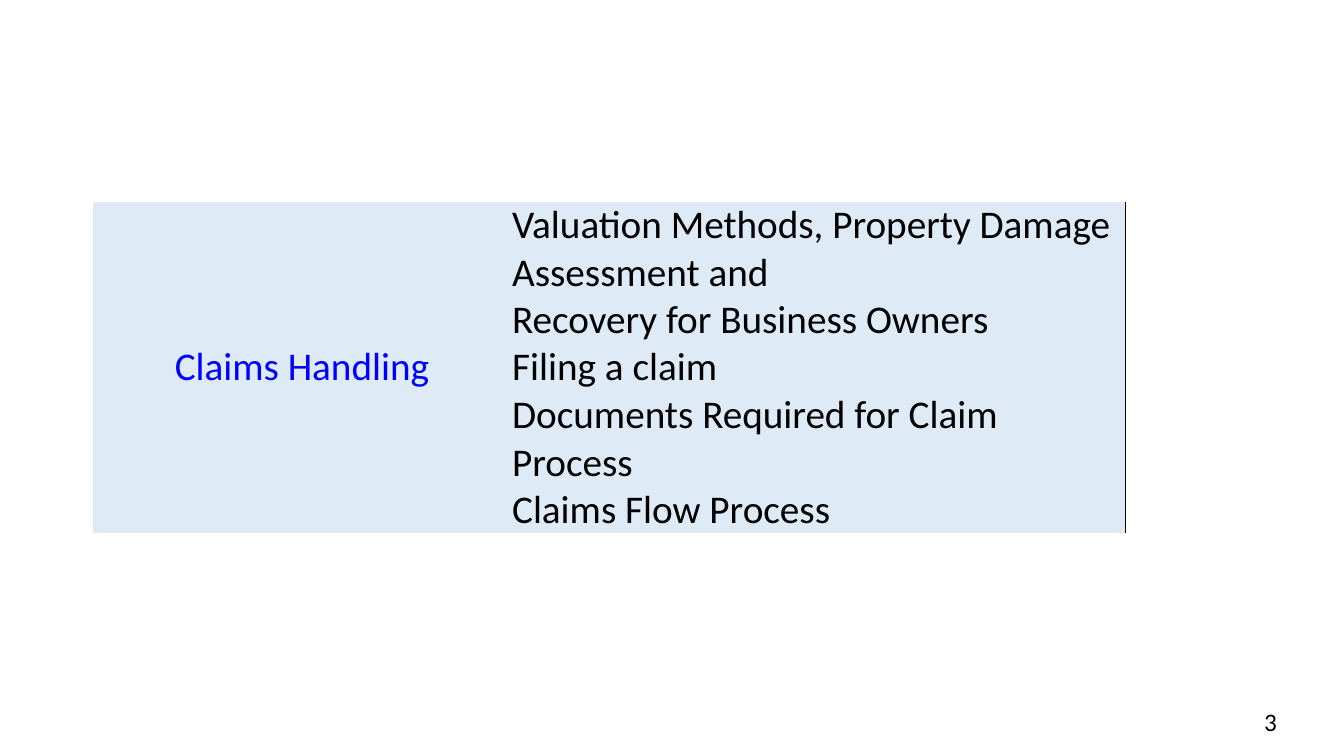
import pptx
import pptx.dml.color
import pptx.enum.text
import pptx.oxml
import pptx.oxml.ns
import pptx.util

Inches = pptx.util.Inches
Pt = pptx.util.Pt
RGBColor = pptx.dml.color.RGBColor
Align = pptx.enum.text.PP_ALIGN
Anchor = pptx.enum.text.MSO_ANCHOR

BLACK = RGBColor(0x00, 0x00, 0x00)
BLUE = RGBColor(0x00, 0x00, 0xFF)
PALE_BLUE = RGBColor(0xDE, 0xEB, 0xF7)
LINE_HEIGHT = 0.47

# Each topic with the number of lines it takes
TOPICS = [
    ("Valuation Methods, Property Damage Assessment and", 2),
    ("Recovery for Business Owners", 1),
    ("Filing a claim", 1),
    ("Documents Required for Claim Process", 2),
    ("Claims Flow Process", 1),
]


class SlideBuilder:
    font = "Calibri"

    def __init__(self, page):
        self.page = page

    def add_span(self, frame, text, size, color, align=Align.LEFT):
        para = frame.paragraphs[0]
        para.alignment = align
        span = para.add_run()
        span.text = text
        span.font.name = self.font
        span.font.size = Pt(size)
        span.font.color.rgb = color

    def text_box(self, left, top, width, height, text, size, color):
        box = self.page.shapes.add_textbox(
            Inches(left), Inches(top), Inches(width), Inches(height))
        box.text_frame.word_wrap = True
        self.add_span(box.text_frame, text, size, color)

    def border(self, cell, right=None):
        """Clear the cell's borders, keeping a right one in the given colour."""
        properties = cell._tc.get_or_add_tcPr()
        for side in ("lnL", "lnR", "lnT", "lnB"):
            line = pptx.oxml.parse_xml(
                f'<a:{side} {pptx.oxml.ns.nsdecls("a")} w="{Pt(1)}"/>')
            if side == "lnR" and right is not None:
                fill = pptx.oxml.parse_xml(
                    f'<a:solidFill {pptx.oxml.ns.nsdecls("a")}>'
                    f'<a:srgbClr val="{right}"/></a:solidFill>')
            else:
                fill = pptx.oxml.parse_xml(
                    f'<a:noFill {pptx.oxml.ns.nsdecls("a")}/>')
            line.append(fill)
            properties.append(line)

    def format_cell(self, cell, margin, anchor, right=None):
        self.border(cell, right)
        cell.fill.solid()
        cell.fill.fore_color.rgb = PALE_BLUE
        cell.margin_left = cell.margin_right = Inches(margin)
        cell.margin_top = cell.margin_bottom = 0
        cell.vertical_anchor = anchor

    def topic_table(self, left, top, widths, heading, topics):
        """Table with one merged heading cell beside a column of topics."""
        height = LINE_HEIGHT * sum(lines for _, lines in topics)
        table = self.page.shapes.add_table(
            len(topics), 2, Inches(left), Inches(top),
            Inches(sum(widths)), Inches(height)).table
        table.first_row = table.horz_banding = False
        for column, width in zip(table.columns, widths):
            column.width = Inches(width)
        for index, (topic, lines) in enumerate(topics):
            table.rows[index].height = Inches(LINE_HEIGHT * lines)
            self.format_cell(table.cell(index, 0), 0.11, Anchor.MIDDLE)
            topic_cell = table.cell(index, 1)
            self.format_cell(topic_cell, 0.01, Anchor.BOTTOM, BLACK)
            self.add_span(topic_cell.text_frame, topic, 28, BLACK)
        heading_cell = table.cell(0, 0)
        heading_cell.merge(table.cell(len(topics) - 1, 0))
        self.add_span(heading_cell.text_frame, heading, 28, BLUE, Align.CENTER)


def main():
    deck = pptx.Presentation()
    deck.slide_width = Inches(13.33)
    deck.slide_height = Inches(7.5)
    builder = SlideBuilder(deck.slides.add_slide(deck.slide_layouts[6]))
    builder.text_box(12.44, 6.96, 0.67, 0.4, "3", 18, BLACK)
    builder.topic_table(0.92, 2, (4.15, 6.09), "Claims Handling", TOPICS)
    deck.save("out.pptx")


if __name__ == "__main__":
    main()
